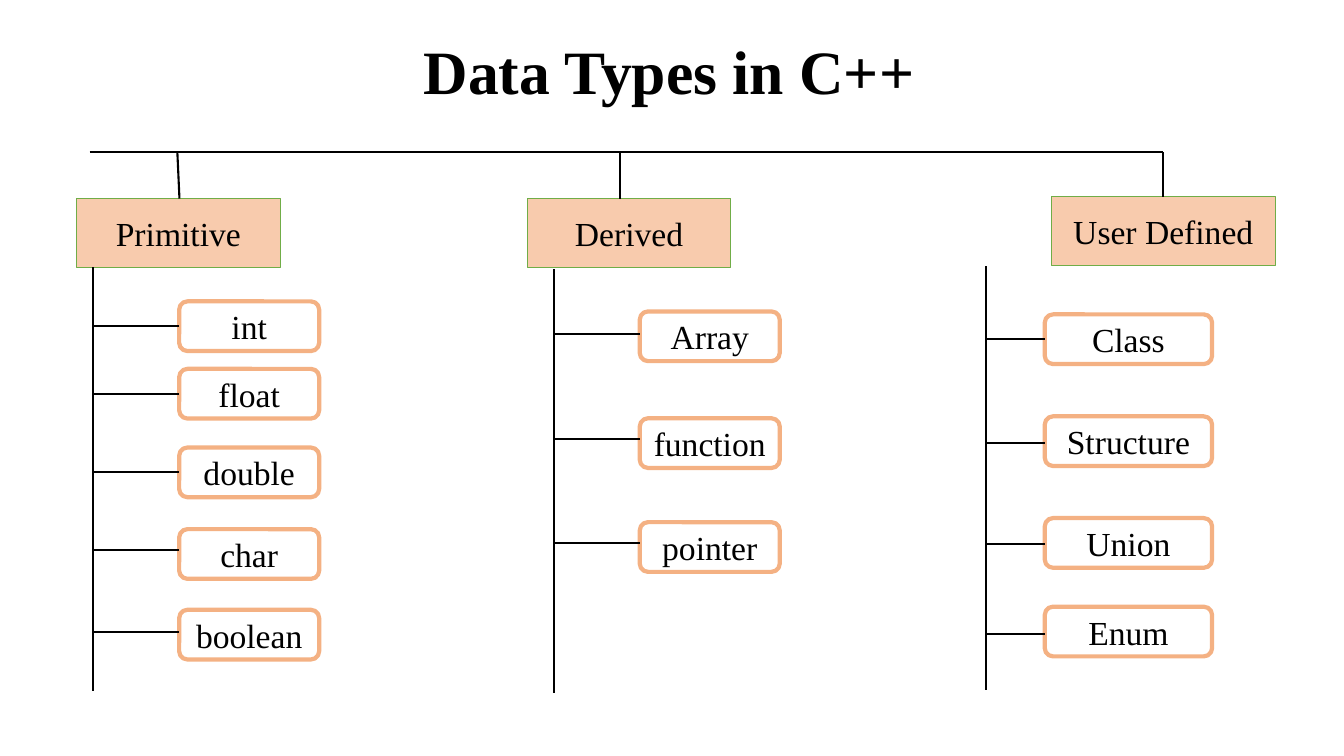
from dataclasses import dataclass

from lxml import etree
from pptx import Presentation
from pptx.dml.color import RGBColor
from pptx.enum.shapes import MSO_CONNECTOR, MSO_SHAPE
from pptx.enum.text import MSO_ANCHOR, PP_ALIGN
from pptx.oxml.ns import qn
from pptx.util import Pt

STRAIGHT = MSO_CONNECTOR.STRAIGHT
RECT, ROUNDED = MSO_SHAPE.RECTANGLE, MSO_SHAPE.ROUNDED_RECTANGLE
MIDDLE, CENTER = MSO_ANCHOR.MIDDLE, PP_ALIGN.CENTER

TITLE = "Data Types in C++"

# header: left, top, width; drop: x at the bar, x at the header
# trunk: x, top; items: name, box top, branch y
CATEGORIES = [
    dict(name="Primitive", header=(54.7, 141.8, 145.4), drop=(126.7, 128.2),
         trunk=(66.3, 190.8), item_left=128, item_width=100,
         items=[("int", 215.3, 232.6), ("float", 263.5, 281.5),
                ("double", 319.7, 337), ("char", 378, 393.1),
                ("boolean", 435.6, 451.4)]),
    dict(name="Derived", header=(376.6, 141.8, 145.4), drop=(442.8, 442.8),
         trunk=(396, 192.2), item_left=457, item_width=100,
         items=[("Array", 222.5, 238.3), ("function", 298.8, 313.9),
                ("pointer", 373, 388.1)]),
    dict(name="User Defined", header=(751, 140.4, 159.8), drop=(830.9, 830.9),
         trunk=(704.2, 190.1), item_left=746.3, item_width=119.5,
         items=[("Class", 224.6, 242.3), ("Structure", 297.4, 316.4),
                ("Union", 370.1, 388.4), ("Enum", 433.4, 453.2)]),
]

BAR_LEFT, BAR_RIGHT, BAR_Y = 64.1, 830.9, 108.7
HEADER_HEIGHT, ITEM_HEIGHT, TRUNK_LENGTH = 49.5, 35.5, 303.1


@dataclass(frozen=True)
class Theme:
    font: str = "Times New Roman"
    title_size: float = 44
    label_size: float = 24
    ink: RGBColor = RGBColor(0, 0, 0)
    paper: RGBColor = RGBColor(255, 255, 255)
    header_fill: RGBColor = RGBColor(0xF8, 0xCB, 0xAD)
    header_line: RGBColor = RGBColor(0x70, 0xAD, 0x47)
    item_line: RGBColor = RGBColor(0xF4, 0xB1, 0x83)


THEME = Theme()


def write_centred(frame, text, size, bold=False):
    frame.text = text
    frame.word_wrap = True
    frame.vertical_anchor = MIDDLE
    paragraph = frame.paragraphs[0]
    paragraph.alignment = CENTER
    font = paragraph.runs[0].font
    font.name, font.size, font.bold = THEME.font, Pt(size), bold
    font.color.rgb = THEME.ink


def add_box(slide, kind, bounds, text, fill, line, line_width):
    box = slide.shapes.add_shape(kind, *map(Pt, bounds))
    box.shadow.inherit = False
    box.fill.solid()
    box.fill.fore_color.rgb = fill
    box.line.color.rgb = line
    box.line.width = Pt(line_width)
    frame = box.text_frame
    frame.margin_left = frame.margin_right = 0
    write_centred(frame, text, THEME.label_size)


def add_line(slide, x1, y1, x2, y2):
    line = slide.shapes.add_connector(STRAIGHT, Pt(x1), Pt(y1), Pt(x2), Pt(y2))
    line.line.color.rgb = THEME.ink
    line.line.width = Pt(1.5)
    etree.SubElement(line._element.spPr, qn("a:effectLst"))


def add_category(slide, category):
    """Draw a header, its drop from the bar, and its trunk of items."""
    left, top, width = category["header"]
    add_box(slide, RECT, (left, top, width, HEADER_HEIGHT), category["name"],
            THEME.header_fill, THEME.header_line, 0.5)
    bar_x, header_x = category["drop"]
    add_line(slide, bar_x, BAR_Y, header_x, top)
    trunk_x, trunk_top = category["trunk"]
    add_line(slide, trunk_x, trunk_top, trunk_x, trunk_top + TRUNK_LENGTH)
    item_left, item_width = category["item_left"], category["item_width"]
    for name, item_top, branch_y in category["items"]:
        add_box(slide, ROUNDED, (item_left, item_top, item_width, ITEM_HEIGHT),
                name, THEME.paper, THEME.item_line, 3)
        add_line(slide, trunk_x, branch_y, item_left, branch_y)


def main():
    deck = Presentation()
    deck.slide_width, deck.slide_height = Pt(960), Pt(540)
    slide = deck.slides.add_slide(deck.slide_layouts[5])
    title = slide.shapes.title
    title.left, title.top, title.width, title.height = map(
        Pt, (64, 1.4, 828, 104.4))
    write_centred(title.text_frame, TITLE, THEME.title_size, bold=True)
    title.text_frame.paragraphs[0].line_spacing = 0.9
    add_line(slide, BAR_LEFT, BAR_Y, BAR_RIGHT, BAR_Y)
    for category in CATEGORIES:
        add_category(slide, category)
    deck.save("out.pptx")


if __name__ == "__main__":
    main()
